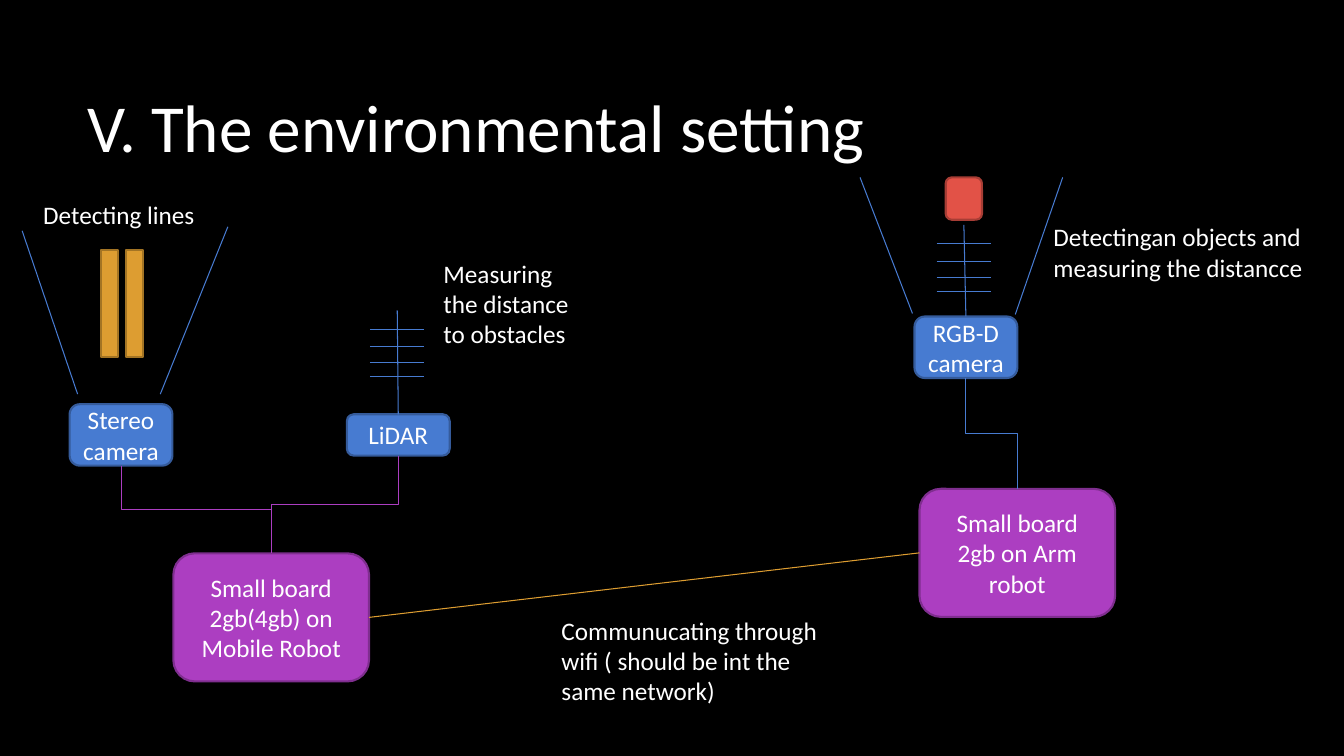
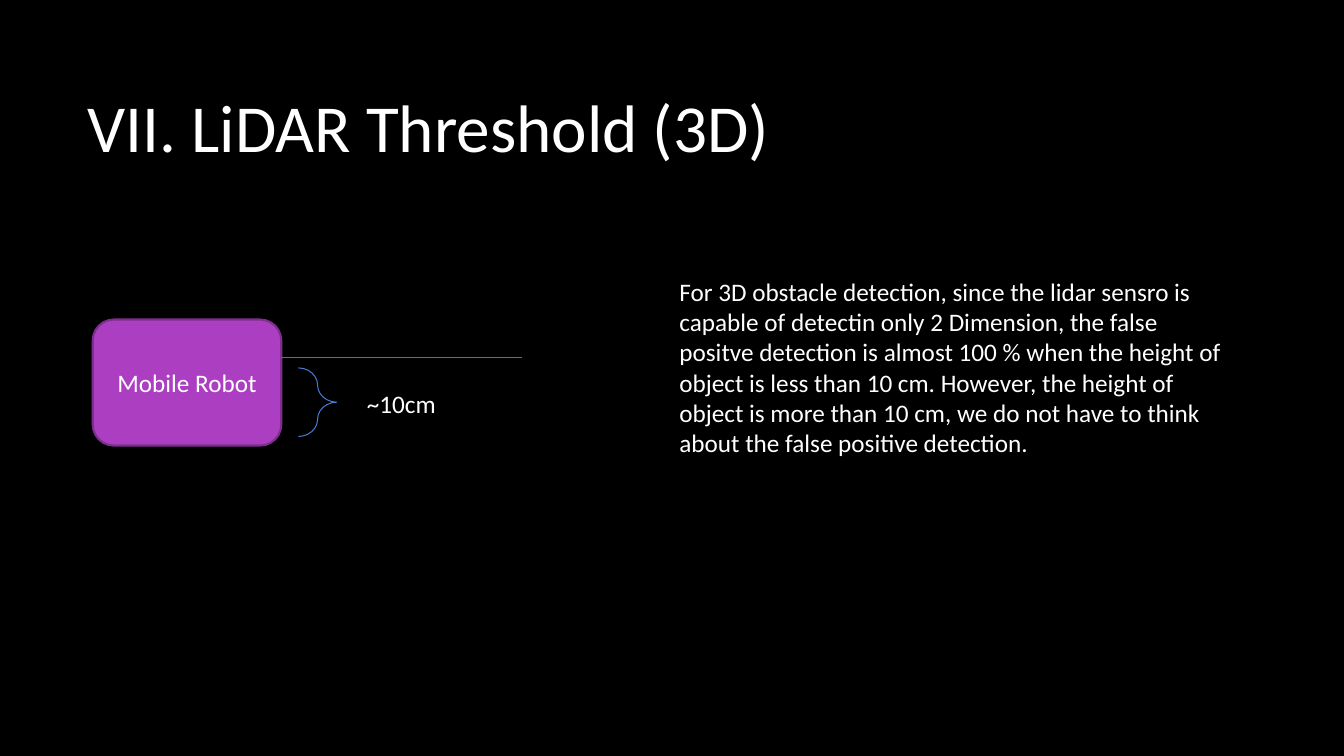
from dataclasses import dataclass

from lxml.etree import SubElement
from pptx import Presentation
from pptx.dml.color import RGBColor
from pptx.enum.shapes import MSO_CONNECTOR as Link, MSO_SHAPE as Shape
from pptx.enum.text import MSO_ANCHOR as Anchor, MSO_AUTO_SIZE as AutoSize, PP_ALIGN as Align
from pptx.oxml.ns import qn
from pptx.util import Inches, Pt


@dataclass(frozen=True)
class Theme:
    font: str = "Calibri"
    title_size: int = 48
    body_size: int = 18
    outline: float = 1.5
    thin: float = 0.75
    back: str = "000000"
    text: str = "FFFFFF"
    blue: tuple = ("477BD1", "355B9B")
    purple: tuple = ("AC3EC1", "7F2E8F")
    gold: tuple = ("DD9D31", "A37424")
    red: tuple = ("E25247", "A73D35")


THEME = Theme()
TOP, LEFT, BOTTOM, RIGHT = range(4)
BOARD, SENSOR = (1.94, 1.27), (1.02, 0.61)

# Content of the setting slide: name -> (text, left, top, size, colours)
SETTING_TITLE = "V. The environmental setting"
SETTING_BOXES = {
    "arm": ("Small board 2gb on Arm robot", 9.12, 4.85, BOARD, THEME.purple),
    "mobile": ("Small board 2gb(4gb) on Mobile Robot", 1.72, 5.49, BOARD, THEME.purple),
    "lidar": ("LiDAR", 3.44, 4.11, (1.02, 0.41), THEME.blue),
    "stereo": ("Stereo camera", 0.69, 4.01, SENSOR, THEME.blue),
    "rgbd": ("RGB-D camera", 9.07, 3.14, SENSOR, THEME.blue),
}
WIRES = [("stereo", "mobile", THEME.purple), ("lidar", "mobile", THEME.purple),
         ("rgbd", "arm", THEME.blue)]
VIEW_EDGES = [(0.77, 3.91, 0.22, 2.29), (1.59, 3.91, 2.26, 2.25),
              (10.07, 3.12, 10.54, 1.76), (9.05, 3.11, 8.53, 1.76)]
RAYS = [("lidar", 3.94, 3.08), ("rgbd", 9.56, 2.23)]
TICK_DROPS, TICK_HALF = (0.19, 0.36, 0.52, 0.66), 0.27
# Notes: (text, left, top, width, height, wrap)
SETTING_NOTES = [
    ("Detecting lines", 0.33, 1.93, 1.72, 0.4, False),
    ("Measuring the distance to obstacles", 4.3, 2.51, 1.6, 1.01, True),
    ("Detectingan objects and measuring the distancce", 10.35, 2.15, 2.78, 0.71, True),
    ("Communucating through wifi ( should be int the same network)",
     5.47, 6.05, 2.78, 1.01, True),
]

# Content of the threshold slide
THRESHOLD_TITLE = "VII. LiDAR Threshold (3D)"
THRESHOLD_NOTES = [
    ("~10cm", 3.54, 3.8, 0.89, 0.4, False),
    ("For 3D obstacle detection, since the lidar sensro is capable of detectin only "
     "2 Dimension, the false positve detection is almost 100 % when the height of object "
     "is less than 10 cm. However, the height of object is more than 10 cm, we do not have "
     "to think about the false positive detection.", 6.64, 2.69, 5.66, 1.92, True),
]


def write(frame, text, size=THEME.body_size, align=Align.LEFT, anchor=Anchor.TOP, wrap=True):
    frame.text = text
    frame.word_wrap = wrap
    frame.auto_size = AutoSize.NONE
    frame.vertical_anchor = anchor
    para = frame.paragraphs[0]
    para.alignment = align
    font = para.runs[0].font
    font.name, font.size = THEME.font, Pt(size)
    font.color.rgb = RGBColor.from_string(THEME.text)


def add_page(deck, title):
    page = deck.slides.add_slide(deck.slide_layouts.get_by_name("Title Only"))
    holder = page.shapes.title
    holder.left, holder.top, holder.width, holder.height = map(Inches, (0.77, 0.8, 11.35, 0.91))
    write(holder.text_frame, title, THEME.title_size)
    return page


def add_box(page, kind, left, top, width, height, colours, text=""):
    box = page.shapes.add_shape(kind, *map(Inches, (left, top, width, height)))
    box.shadow.inherit = False
    fill, edge = colours
    box.fill.solid()
    box.fill.fore_color.rgb = RGBColor.from_string(fill)
    box.line.color.rgb = RGBColor.from_string(edge)
    box.line.width = Pt(THEME.outline)
    if text:
        write(box.text_frame, text, align=Align.CENTER, anchor=Anchor.MIDDLE)
    return box


def add_notes(page, notes):
    for text, left, top, width, height, wrap in notes:
        box = page.shapes.add_textbox(*map(Inches, (left, top, width, height)))
        write(box.text_frame, text, wrap=wrap)


def add_line(page, ends, colours, kind=Link.STRAIGHT):
    line = page.shapes.add_connector(kind, *map(Inches, ends))
    line.line.color.rgb = RGBColor.from_string(colours[0])
    line.line.width = Pt(THEME.thin)
    SubElement(line.element.spPr, qn("a:effectLst"))
    return line


def add_wire(page, upper, lower, colours):
    """Elbow from the bottom of one box to the top of another, leaving downwards."""
    wire = add_line(page, (0, 0, 1, 1), colours, Link.ELBOW)
    wire.begin_connect(upper, BOTTOM)
    wire.end_connect(lower, TOP)
    across, down = wire.end_x - wire.begin_x, wire.end_y - wire.begin_y
    middle_x, middle_y = wire.begin_x + across // 2, wire.begin_y + down // 2
    # Turn the frame a quarter so that the first leg is vertical
    wire.width, wire.height = down, abs(across)
    wire.left, wire.top = middle_x - down // 2, middle_y - abs(across) // 2
    frame = wire.element.spPr.find(qn("a:xfrm"))
    frame.set("rot", str((270 if across > 0 else 90) * 60000))
    frame.set("flipH", "1" if across > 0 else "0")


def build_setting(deck):
    page = add_page(deck, SETTING_TITLE)
    boxes = {name: add_box(page, Shape.ROUNDED_RECTANGLE, left, top, *size, colours, text)
             for name, (text, left, top, size, colours) in SETTING_BOXES.items()}

    # Links between the devices
    network = add_line(page, (0, 0, 1, 1), THEME.gold)
    network.begin_connect(boxes["mobile"], RIGHT)
    network.end_connect(boxes["arm"], LEFT)
    for upper, lower, colours in WIRES:
        add_wire(page, boxes[upper], boxes[lower], colours)

    # What the sensors see
    for ends in VIEW_EDGES:
        add_line(page, ends, THEME.blue)
    lanes = add_box(page, Shape.MATH_EQUAL, 0.49, 2.66, 1.44, 0.7, THEME.gold)
    lanes.rotation = 270
    add_box(page, Shape.ROUNDED_RECTANGLE, 9.38, 1.76, 0.36, 0.42, THEME.red)
    for sensor, x, top in RAYS:
        ray = add_line(page, (x, top, x, top + 1), THEME.blue)
        ray.end_connect(boxes[sensor], TOP)
        for drop in TICK_DROPS:
            add_line(page, (x - TICK_HALF, top + drop, x + TICK_HALF, top + drop), THEME.blue)
    add_notes(page, SETTING_NOTES)


def build_threshold(deck):
    page = add_page(deck, THRESHOLD_TITLE)
    add_box(page, Shape.ROUNDED_RECTANGLE, 0.92, 3.17, 1.87, 1.25, THEME.purple, "Mobile Robot")
    add_line(page, (2.79, 3.55, 5.18, 3.55), THEME.purple)
    brace = add_box(page, Shape.RIGHT_BRACE, 2.96, 3.65, 0.38, 0.68, THEME.blue)
    brace.fill.background()
    brace.line.color.rgb = RGBColor.from_string(THEME.blue[0])
    brace.line.width = Pt(THEME.thin)
    brace.adjustments[0] = 0.65
    add_notes(page, THRESHOLD_NOTES)


def main():
    deck = Presentation()
    deck.slide_width, deck.slide_height = Inches(13.33), Inches(7.5)
    backdrop = deck.slide_master.background.fill
    backdrop.solid()
    backdrop.fore_color.rgb = RGBColor.from_string(THEME.back)
    build_setting(deck)
    build_threshold(deck)
    deck.save("out.pptx")


if __name__ == "__main__":
    main()
